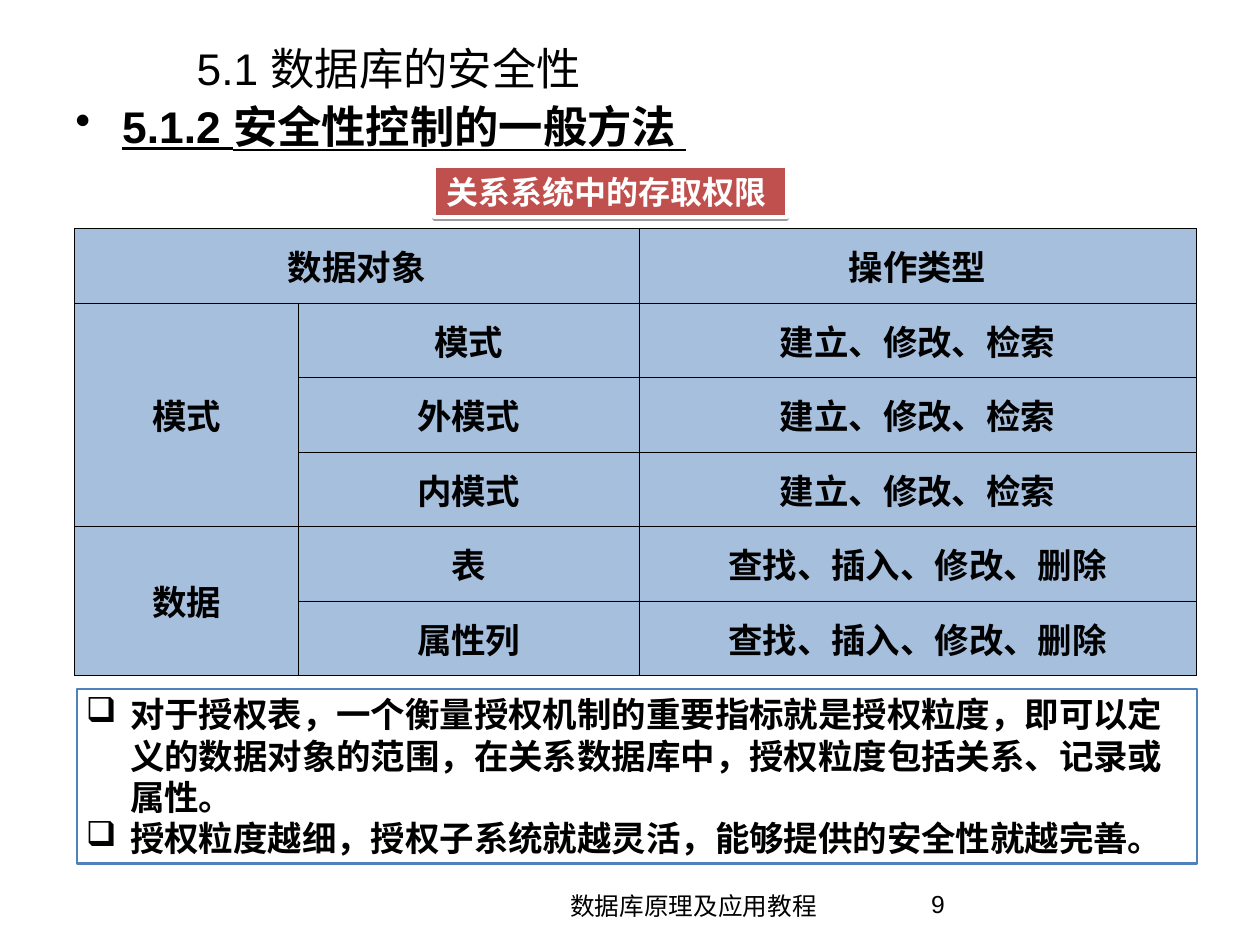
from pptx import Presentation
from pptx.dml.color import RGBColor
from pptx.enum.shapes import MSO_SHAPE
from pptx.enum.text import MSO_ANCHOR, PP_ALIGN
from pptx.oxml.ns import qn
from pptx.util import Pt
from lxml import etree

EMU_PER_PX = 9144  # 100 px to the inch
LEFT, CENTER, RIGHT = PP_ALIGN.LEFT, PP_ALIGN.CENTER, PP_ALIGN.RIGHT
TOP, MIDDLE = MSO_ANCHOR.TOP, MSO_ANCHOR.MIDDLE
RECTANGLE = MSO_SHAPE.RECTANGLE

BLACK, WHITE, BLUE, RED = "000000", "FFFFFF", "4F81BD", "C0504D"
WIDE_INSETS, NARROW_INSETS = (14, 7), (10, 5)

COLUMN_WIDTHS = (253, 384, 629)
ROW_HEIGHT = 84
SCHEMA_RIGHTS = "建立、修改、检索"
DATA_RIGHTS = "查找、插入、修改、删除"
PERMISSIONS = (
    ("数据对象", "", "操作类型"),
    ("模式", "模式", SCHEMA_RIGHTS),
    ("", "外模式", SCHEMA_RIGHTS),
    ("", "内模式", SCHEMA_RIGHTS),
    ("数据", "表", DATA_RIGHTS),
    ("", "属性列", DATA_RIGHTS),
)
MERGES = (((0, 0), (0, 1)), ((1, 0), (3, 0)), ((4, 0), (5, 0)))
NOTES = (
    "对于授权表，一个衡量授权机制的重要指标就是授权粒度，即可以定义的数据对象的范围，"
    "在关系数据库中，授权粒度包括关系、记录或属性。",
    "授权粒度越细，授权子系统就越灵活，能够提供的安全性就越完善。",
)


def px(length):
    return int(length * EMU_PER_PX)


def color(code):
    return RGBColor.from_string(code)


def add_xml(parent, tag, **attributes):
    child = etree.SubElement(parent, qn(tag))
    for name, value in attributes.items():
        child.set(name, str(value))
    return child


def add_span(para, text, size, code=BLACK, bold=False, underline=False, font="Arial"):
    span = para.add_run()
    span.text = text
    span.font.name = font
    span.font.size = Pt(size)
    span.font.bold = bold
    span.font.underline = underline
    span.font.color.rgb = color(code)


def add_bullet(para, mark, indent):
    """Give the paragraph a black bullet with a hanging indent."""
    properties = para._p.get_or_add_pPr()
    properties.set("marL", str(px(indent)))
    properties.set("indent", str(px(-indent)))
    add_xml(add_xml(properties, "a:buClr"), "a:srgbClr", val=BLACK)
    add_xml(properties, "a:buChar", char=mark)


def set_frame(frame, insets, anchor=TOP):
    frame.word_wrap = True
    frame.vertical_anchor = anchor
    frame.margin_left = frame.margin_right = px(insets[0])
    frame.margin_top = frame.margin_bottom = px(insets[1])


def add_label(page, area, insets=WIDE_INSETS, anchor=TOP, align=LEFT):
    """Add a text box and return its first paragraph."""
    box = page.shapes.add_textbox(*map(px, area))
    set_frame(box.text_frame, insets, anchor)
    para = box.text_frame.paragraphs[0]
    para.alignment = align
    return para


def add_panel(page, area, fill, line, line_width, insets):
    panel = page.shapes.add_shape(RECTANGLE, *map(px, area))
    panel.shadow.inherit = False
    panel.fill.solid()
    panel.fill.fore_color.rgb = color(fill)
    panel.line.color.rgb = color(line)
    panel.line.width = Pt(line_width)
    set_frame(panel.text_frame, insets)
    return panel


def add_badge(page):
    badge = add_panel(page, (490, 187, 398, 58), RED, WHITE, 3, WIDE_INSETS)
    effects = badge._element.spPr.find(qn("a:effectLst"))
    shadow = add_xml(effects, "a:outerShdw", blurRad=0, dist=Pt(1.6),
                     dir=5400000, rotWithShape=0)
    add_xml(add_xml(shadow, "a:srgbClr", val=BLACK), "a:alpha", val=38000)
    para = badge.text_frame.paragraphs[0]
    para.alignment = LEFT
    add_span(para, "关系系统中的存取权限", 26, WHITE, bold=True)


def add_notes_panel(page):
    panel = add_panel(page, (87, 777, 1264, 197), WHITE, BLUE, 2, NARROW_INSETS)
    frame = panel.text_frame
    for index, note in enumerate(NOTES):
        para = frame.add_paragraph() if index else frame.paragraphs[0]
        para.alignment = LEFT
        add_bullet(para, "❑", 50)
        add_span(para, note, 28, bold=True)


def style_cell(cell):
    """Draw thin black borders and a half-transparent blue fill."""
    properties = cell._tc.get_or_add_tcPr()
    for side in ("a:lnL", "a:lnR", "a:lnT", "a:lnB"):
        border = add_xml(properties, side, w=Pt(0.45))
        add_xml(add_xml(border, "a:solidFill"), "a:srgbClr", val=BLACK)
    cell.fill.solid()
    cell.fill.fore_color.rgb = color(BLUE)
    fill_color = properties.find(qn("a:solidFill")).find(qn("a:srgbClr"))
    add_xml(fill_color, "a:alpha", val=50000)
    cell.vertical_anchor = MIDDLE
    cell.margin_left = cell.margin_right = px(14)
    cell.margin_top = cell.margin_bottom = px(5)


def add_permission_table(page):
    row_count = len(PERMISSIONS)
    area = (84, 258, sum(COLUMN_WIDTHS), ROW_HEIGHT * row_count)
    table = page.shapes.add_table(row_count, len(COLUMN_WIDTHS), *map(px, area)).table
    for column, width in zip(table.columns, COLUMN_WIDTHS):
        column.width = px(width)
    for row_index, texts in enumerate(PERMISSIONS):
        table.rows[row_index].height = px(ROW_HEIGHT)
        for column_index, text in enumerate(texts):
            cell = table.cell(row_index, column_index)
            style_cell(cell)
            if text:
                para = cell.text_frame.paragraphs[0]
                para.alignment = CENTER
                add_span(para, text, 28, bold=True, font="Times New Roman")
    for first, last in MERGES:
        table.cell(*first).merge(table.cell(*last))


def main():
    deck = Presentation()
    deck.slide_width, deck.slide_height = px(1422), px(1066)
    page = deck.slides.add_slide(deck.slide_layouts[6])

    add_permission_table(page)
    add_badge(page)

    title = add_label(page, (208, 48, 1183, 57), anchor=MIDDLE)
    add_span(title, "5.1 数据库的安全性", 36)

    heading = add_label(page, (71, 105, 1280, 89))
    add_bullet(heading, "•", 53)
    add_span(heading, "5.1.2 安全性控制的一般方法 ", 36, bold=True, underline=True)

    add_notes_panel(page)

    footer = add_label(page, (486, 998, 450, 55), align=RIGHT)
    add_span(footer, "数据库原理及应用教程", 20)
    page_number = add_label(page, (1041, 998, 332, 55), NARROW_INSETS)
    add_span(page_number, "9", 20)

    deck.save("out.pptx")


if __name__ == "__main__":
    main()
